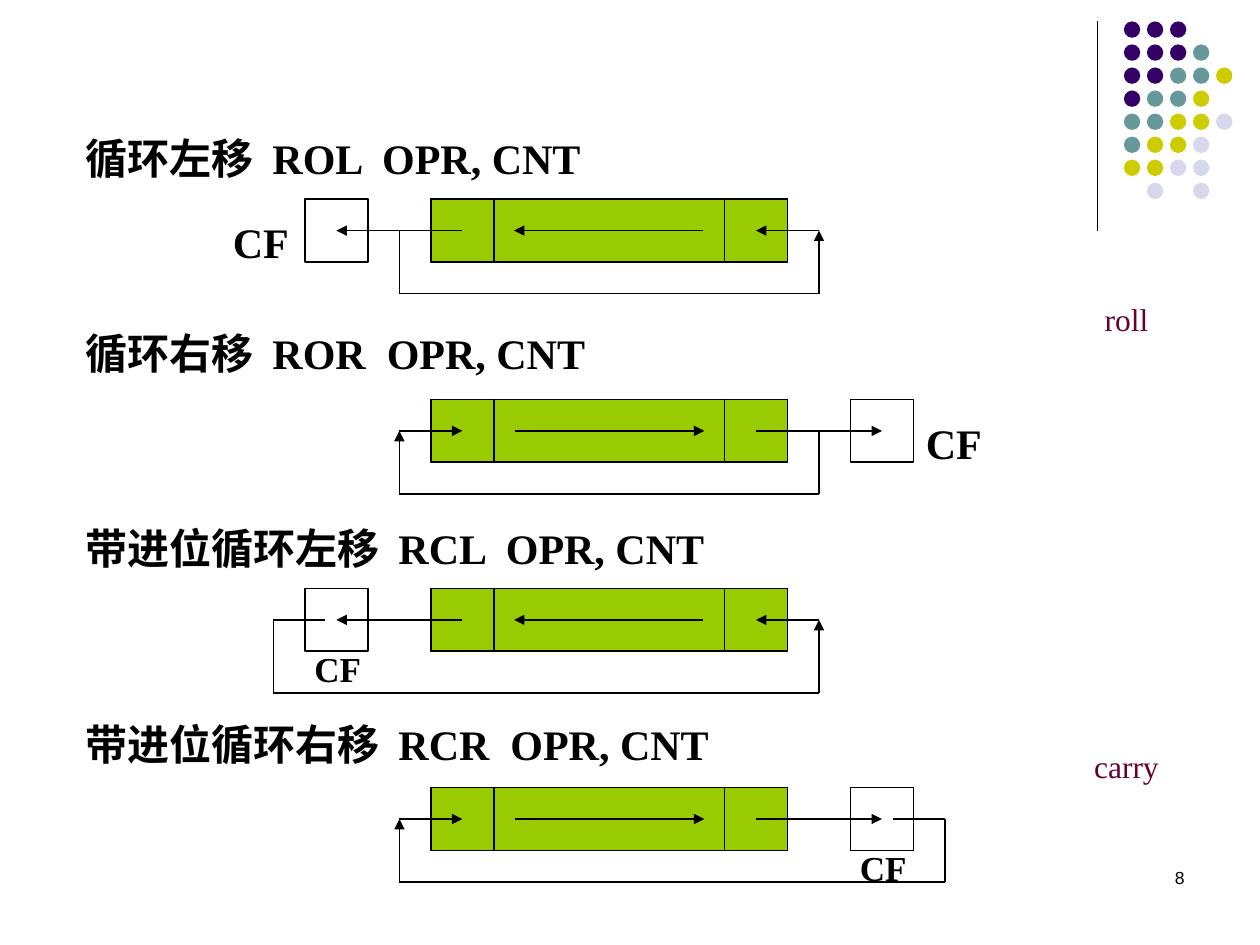
from itertools import pairwise

from lxml import etree
from pptx import Presentation
from pptx.dml.color import RGBColor
from pptx.enum.shapes import MSO_CONNECTOR, MSO_SHAPE
from pptx.enum.text import MSO_ANCHOR, PP_ALIGN
from pptx.oxml.ns import qn
from pptx.util import Inches, Pt

STRAIGHT = MSO_CONNECTOR.STRAIGHT
RECTANGLE = MSO_SHAPE.RECTANGLE
OVAL = MSO_SHAPE.OVAL
TOP, MIDDLE = MSO_ANCHOR.TOP, MSO_ANCHOR.MIDDLE
LEFT, CENTER, RIGHT = PP_ALIGN.LEFT, PP_ALIGN.CENTER, PP_ALIGN.RIGHT

BLACK = RGBColor(0x00, 0x00, 0x00)
GREEN = RGBColor(0x99, 0xCC, 0x00)
MAROON = RGBColor(0x66, 0x00, 0x33)
DOT_COLORS = {
    "P": RGBColor(0x33, 0x00, 0x66),
    "T": RGBColor(0x66, 0x99, 0x99),
    "Y": RGBColor(0xCC, 0xCC, 0x00),
    "L": RGBColor(0xD8, 0xD8, 0xEC),
}
DOT_ROWS = ["PPP", "PPPT", "PPTTY", "PTTY", "TTYYL", "TYYL", "YYLL", "-L-L"]
DOT_PITCH = 1.28 / 7

SERIF = "Times New Roman"
HEADINGS = [
    "循环左移  ROL  OPR, CNT",
    "循环右移  ROR  OPR, CNT",
    "带进位循环左移  RCL  OPR, CNT",
    "带进位循环右移  RCR  OPR, CNT",
]
# top, rotates right, passes through carry, depth of the return loop
ROTATIONS = [
    (1.58, False, False, 0.75),
    (3.17, True, False, 0.75),
    (4.67, False, True, 0.83),
    (6.25, True, True, 0.75),
]
REGISTER_LEFT, REGISTER_WIDTH, CELL = 3.42, 2.83, 0.5
MIRROR_SUM = 2 * REGISTER_LEFT + REGISTER_WIDTH


def add_solid(shapes, kind, left, top, width, height, fill=None, outlined=True):
    """Add a preset shape with an optional fill and a thin black outline."""
    shape = shapes.add_shape(
        kind, Inches(left), Inches(top), Inches(width), Inches(height)
    )
    shape.shadow.inherit = False
    if fill is None:
        shape.fill.background()
    else:
        shape.fill.solid()
        shape.fill.fore_color.rgb = fill
    if outlined:
        shape.line.color.rgb = BLACK
        shape.line.width = Pt(1)
    else:
        shape.line.fill.background()


def add_line(shapes, start, end, arrow=False, weight=1):
    """Add a straight black line, with an arrowhead at its end if wanted."""
    line = shapes.add_connector(STRAIGHT, *map(Inches, start + end))
    line.line.color.rgb = BLACK
    line.line.width = Pt(weight)
    if arrow:
        outline = line.line._get_or_add_ln()
        etree.SubElement(outline, qn("a:tailEnd"), type="triangle")
    etree.SubElement(line._element.spPr, qn("a:effectLst"))


def add_text(shapes, box, lines, size, color=BLACK, bold=False, font=SERIF,
             align=LEFT, anchor=TOP, gap=0, wrap=True):
    """Add a text box with one paragraph per line and a gap between them."""
    frame = shapes.add_textbox(*map(Inches, box)).text_frame
    frame.word_wrap = wrap
    frame.vertical_anchor = anchor
    frame.text = "\n".join(lines)
    for index, paragraph in enumerate(frame.paragraphs):
        paragraph.alignment = align
        paragraph.space_before = Pt(gap if index else 0)
        for run in paragraph.runs:
            run.font.size = Pt(size)
            run.font.name = font
            run.font.bold = bold
            run.font.color.rgb = color


def add_dots(slide):
    """Add the corner ornament of coloured dots beside a vertical rule."""
    add_line(slide.shapes, (8.71, 0.17), (8.71, 1.83), weight=0.75)
    dots = slide.shapes.add_group_shape().shapes
    for row, pattern in enumerate(DOT_ROWS):
        for column, key in enumerate(pattern):
            if key in DOT_COLORS:
                add_solid(dots, OVAL, 8.92 + column * DOT_PITCH,
                          0.17 + row * DOT_PITCH, 0.13, 0.13,
                          DOT_COLORS[key], outlined=False)


def add_rotation(slide, top, rightward, through_carry, depth):
    """Add one register diagram, mirrored when it rotates to the right."""
    parts = slide.shapes.add_group_shape().shapes
    middle, bottom = top + CELL / 2, top + depth

    def place(x):
        """Mirror a horizontal position for rightward rotation."""
        return MIRROR_SUM - x if rightward else x

    carry_left = place(2.92) if rightward else 2.42
    add_solid(parts, RECTANGLE, REGISTER_LEFT, top, REGISTER_WIDTH, CELL, GREEN)
    last_cell = REGISTER_LEFT + REGISTER_WIDTH - CELL
    for cell_left in (carry_left, REGISTER_LEFT, last_cell):
        add_solid(parts, RECTANGLE, cell_left, top, CELL, CELL)

    for start, end in ((3.67, 2.67), (6.5, 6), (5.58, 4.08)):
        add_line(parts, (place(start), middle), (place(end), middle), arrow=True)

    if through_carry:
        corners = [(2.58, middle), (2.17, middle), (2.17, bottom)]
    else:
        corners = [(3.17, middle), (3.17, bottom)]
    corners += [(6.5, bottom), (6.5, middle)]
    loop = [(place(x), y) for x, y in corners]
    for start, end in pairwise(loop):
        add_line(parts, start, end, arrow=end == loop[-1])

    if through_carry:
        add_text(parts, (carry_left - 0.04, top + 0.42, 0.6, 0.43), ["CF"], 20,
                 bold=True, align=CENTER, anchor=MIDDLE, wrap=False)
    else:
        label_left = carry_left + (CELL if rightward else -0.67)
        add_text(parts, (label_left, top + 0.09, 0.7, 0.5), ["CF"], 24,
                 bold=True, anchor=MIDDLE)


def main():
    """Build the slide on the rotate instructions and save it."""
    presentation = Presentation()
    presentation.slide_width = Inches(10)
    presentation.slide_height = Inches(7.5)
    slide = presentation.slides.add_slide(presentation.slide_layouts[6])

    add_dots(slide)
    add_text(slide.shapes, (0.58, 1, 8.33, 5.29), HEADINGS, 24, bold=True, gap=82.8)
    for rotation in ROTATIONS:
        add_rotation(slide, *rotation)
    for word, top in (("roll", 2.33), ("carry", 5.88)):
        add_text(slide.shapes, (8.15, top, 1.58, 0.4), [word], 18, MAROON, align=CENTER)
    add_text(slide.shapes, (7.17, 6.83, 2.33, 0.5), ["8"], 10, font="Arial", align=RIGHT)

    presentation.save("out.pptx")


if __name__ == "__main__":
    main()
